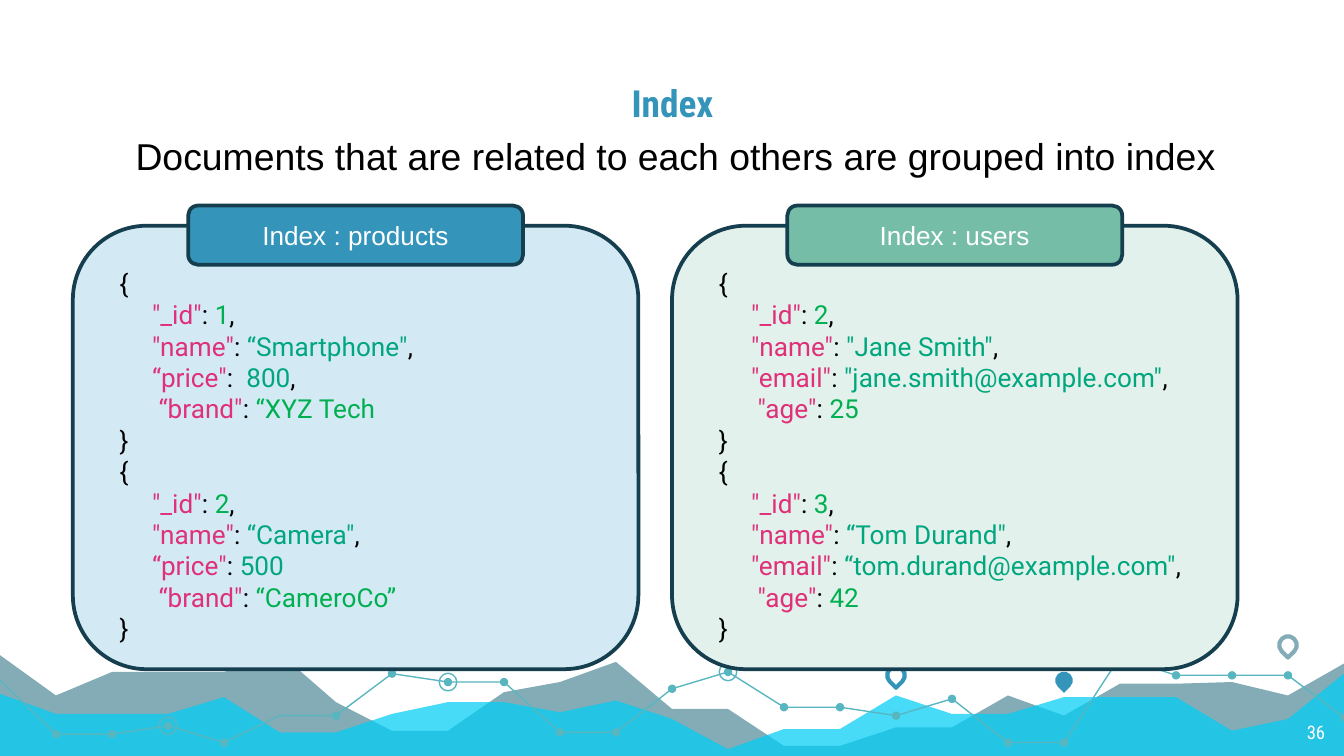
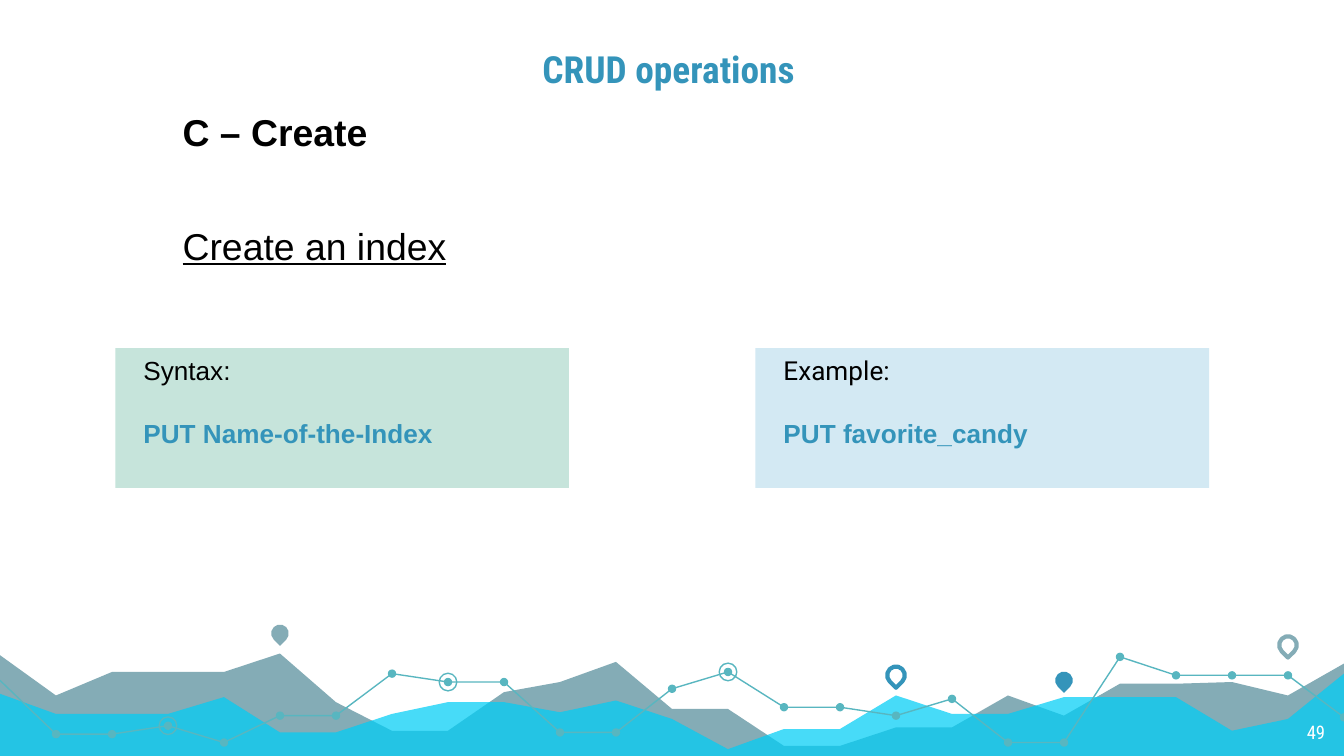
from lxml.etree import SubElement
from pptx import Presentation
from pptx.dml.color import RGBColor
from pptx.enum.shapes import MSO_SHAPE
from pptx.enum.text import MSO_ANCHOR, PP_ALIGN
from pptx.oxml.ns import qn
from pptx.util import Emu, Inches, Pt

COLUMNS, ROWS = 24, 45
BLANK_LAYOUT = 6

BLUE, PALE_BLUE = "3494BA", "D3E9F3"
GREEN, PALE_GREEN, MINT = "75BDA7", "E2F1EC", "C6E4DB"
GREY, CYAN, TEAL, NAVY = "84ACB6", "00CEF6", "58B6C0", "153E4E"
BLACK, WHITE = "000000", "FFFFFF"
KEY_PINK, VALUE_GREEN, VALUE_TEAL = "DF3079", "00B050", "00A67D"
GREEN_VALUED_KEYS = ("_id", "age", "brand")

# Height in rows at each of the column lines 0 to 24
GREY_RIDGE = [39, 41.4, 40, 40, 40, 38.9, 41.8, 43.5, 43.5, 41.2, 40.6, 39.4, 42.2,
              42.2, 44.4, 44.4, 43.3, 43.3, 41.4, 42.6, 40.7, 40.7, 40.6, 41.4, 39.5]
CYAN_RIDGE = [41.3, 42.5, 42.5, 42.5, 41.5, 43.6, 43.6, 42.5, 41.8, 41.8, 42.4, 41.7, 42.8,
              44.6, 43.4, 43.4, 41.4, 42.5, 42.5, 41.5, 41.5, 41.5, 43.5, 42.8, 40.1]
TREND = [40.5, 43.7, 43.7, 43.2, 44.2, 42.6, 42.6, 40.1, 40.6, 40.6, 43.6, 43.6, 41,
         40, 42.1, 42.1, 42.6, 41.6, 44.2, 44.2, 39.1, 40.2, 40.2, 40.2, 42.7]
TREND_BREAKS = [0, 11, 20, 24]
RINGED_COLUMNS = [3, 8, 13]

PRODUCTS = '''{
     "_id": 1,
     "name": “Smartphone",
     “price":  800,
      “brand": “XYZ Tech
}
{
     "_id": 2,
     "name": “Camera",
     “price": 500
      “brand": “CameroCo”
}'''
USERS = '''{
     "_id": 2,
     "name": "Jane Smith",
     "email": "jane.smith@example.com",
      "age": 25
}
{
     "_id": 3,
     "name": “Tom Durand",
     "email": “tom.durand@example.com",
      "age": 42
}'''


def colour(hex_code):
    return RGBColor.from_string(hex_code)


class Deck:
    """Places styled elements on the current slide; lengths are grid columns and rows."""

    def __init__(self):
        self.presentation = Presentation()
        self.presentation.slide_width = Inches(10)
        self.presentation.slide_height = Inches(5.625)
        self.column = self.presentation.slide_width / COLUMNS
        self.row = self.presentation.slide_height / ROWS
        self.slide = None

    def add_slide(self, title, title_column, title_row, number, covered_columns=()):
        layout = self.presentation.slide_layouts[BLANK_LAYOUT]
        self.slide = self.presentation.slides.add_slide(layout)
        self.landscape(covered_columns)
        heading = self.text_box(title_column, title_row, 18.36, 6.24, MSO_ANCHOR.BOTTOM)
        self.set_lines(heading, [title], 20, "Roboto Condensed", BLUE, PP_ALIGN.CENTER)
        heading.paragraphs[0].runs[0].font.bold = True
        page = self.text_box(22.46, 42.24, 1.44, 2.8)
        self.set_lines(page, [str(number)], 10, "Roboto Condensed", WHITE, PP_ALIGN.RIGHT)

    def box(self, column, row, width, height):
        return (Emu(round(column * self.column)), Emu(round(row * self.row)),
                Emu(round(width * self.column)), Emu(round(height * self.row)))

    def paint(self, shape, fill=None, line=None, weight=0.75):
        shape.shadow.inherit = False
        if fill:
            shape.fill.solid()
            shape.fill.fore_color.rgb = colour(fill)
        else:
            shape.fill.background()
        if line:
            shape.line.color.rgb = colour(line)
            shape.line.width = Pt(weight)
        else:
            shape.line.fill.background()
        return shape

    def panel(self, preset, column, row, width, height, fill, line=None):
        shape = self.slide.shapes.add_shape(preset, *self.box(column, row, width, height))
        shape.text_frame.word_wrap = True
        return self.paint(shape, fill, line, 2)

    def mark(self, preset, column, row, diameter, **paint):
        """Centre a small round shape on a grid point; the diameter is in rows."""
        size = round(diameter * self.row)
        left = round(column * self.column - size / 2)
        top = round(row * self.row - size / 2)
        shape = self.slide.shapes.add_shape(preset, left, top, size, size)
        return self.paint(shape, **paint)

    def pin(self, column, row, **paint):
        self.mark(MSO_SHAPE.TEAR, column, row, 1.05, **paint).rotation = 135

    def outline(self, points, closed, **paint):
        spots = [(round(x * self.column), round(y * self.row)) for x, y in points]
        builder = self.slide.shapes.build_freeform(*spots[0], scale=1.0)
        builder.add_line_segments(spots[1:], close=closed)
        return self.paint(builder.convert_to_shape(), **paint)

    def ridge(self, heights, fill):
        corners = [(COLUMNS, ROWS), (0, ROWS)]
        return self.outline(list(enumerate(heights)) + corners, True, fill=fill)

    def landscape(self, covered_columns):
        """Draw the footer; dots and pins in covered columns are left out."""
        self.ridge(GREY_RIDGE, GREY)
        water = self.ridge(CYAN_RIDGE, CYAN)
        tint = water._element.spPr.find(qn("a:solidFill"))[0]
        SubElement(tint, qn("a:alpha")).set("val", "72000")
        if 5 not in covered_columns:
            self.pin(5, 37.7, fill=GREY)
        self.pin(16, 40.2, line=BLUE, weight=2.25)
        self.pin(19, 40.5, fill=BLUE)
        trend = list(enumerate(TREND))
        for start, end in zip(TREND_BREAKS, TREND_BREAKS[1:]):
            self.outline(trend[start:end + 1], False, line=TEAL)
        for column, row in trend[1:]:
            if column not in covered_columns:
                self.mark(MSO_SHAPE.OVAL, column, row, 0.5, fill=TEAL)
        for column in RINGED_COLUMNS:
            self.mark(MSO_SHAPE.OVAL, column, TREND[column], 1.05, line=TEAL)
        self.pin(23, 38.4, line=GREY, weight=2.25)

    def text_box(self, column, row, width, height, anchor=MSO_ANCHOR.TOP, inset=0.1):
        shape = self.slide.shapes.add_textbox(*self.box(column, row, width, height))
        frame = shape.text_frame
        frame.word_wrap = True
        frame.vertical_anchor = anchor
        frame.margin_top = frame.margin_bottom = Inches(inset)
        return frame

    def set_lines(self, frame, lines, size, font, ink, align=PP_ALIGN.LEFT, gap=0, indent=0):
        frame.text = "\n".join(lines)
        for index, paragraph in enumerate(frame.paragraphs):
            paragraph.alignment = align
            if index:
                paragraph.space_before = Pt(gap)
            if indent:
                properties = paragraph._p.get_or_add_pPr()
                properties.set("marL", str(Inches(indent)))
                properties.set("indent", "0")
            for run in paragraph.runs:
                self.style_run(run, size, font, ink)

    def style_run(self, run, size, font, ink):
        run.font.size = Pt(size)
        run.font.name = font
        run.font.color.rgb = colour(ink)

    def body(self, column, row, width, height, lines):
        frame = self.text_box(column, row, width, height)
        self.set_lines(frame, lines, 20, "Arial", BLACK, gap=37, indent=0.11)
        return frame

    def code(self, frame, source):
        """Fill the frame with JSON lines whose keys and values are coloured."""
        for index, line in enumerate(source.split("\n")):
            paragraph = frame.add_paragraph() if index else frame.paragraphs[0]
            key, colon, value = line.partition(": ")
            if colon:
                green = key.strip(' "“') in GREEN_VALUED_KEYS
                comma = "," if value.endswith(",") else ""
                parts = [(key, KEY_PINK), (colon, BLACK),
                         (value.removesuffix(","), VALUE_GREEN if green else VALUE_TEAL),
                         (comma, BLACK)]
            else:
                parts = [(line, BLACK)]
            for text, ink in parts:
                if text:
                    run = paragraph.add_run()
                    run.text = text
                    self.style_run(run, 14, "Roboto", ink)

    def index_card(self, column, name, source, fill, label_fill):
        width, label_width, code_width = 10.1, 5.98, 8.9
        self.panel(MSO_SHAPE.ROUNDED_RECTANGLE, column, 13.44, width, 26.4, fill, NAVY)
        code_column = column + (width - code_width) / 2
        self.code(self.text_box(code_column, 15.52, code_width, 25.28, inset=0.05), source)
        label_column = column + (width - label_width) / 2
        label = self.panel(MSO_SHAPE.ROUNDED_RECTANGLE, label_column, 12.24,
                           label_width, 3.52, label_fill, NAVY)
        label.text_frame.vertical_anchor = MSO_ANCHOR.MIDDLE
        self.set_lines(label.text_frame, [f"Index : {name}"], 14, "Arial", WHITE,
                       PP_ALIGN.CENTER)

    def command_box(self, column, heading, command, heading_font, fill):
        shape = self.panel(MSO_SHAPE.RECTANGLE, column, 20.72, 8.1, 8.32, fill)
        frame = shape.text_frame
        frame.vertical_anchor = MSO_ANCHOR.TOP
        self.set_lines(frame, [heading, command], 14, "Arial", BLACK, gap=17, indent=0.11)
        heading_run, command_run = (paragraph.runs[0] for paragraph in frame.paragraphs)
        heading_run.font.name = heading_font
        command_run.font.bold = True
        command_run.font.color.rgb = colour(BLUE)


def main():
    deck = Deck()

    deck.add_slide("Index", 2.83, 2, 36, covered_columns=(5, 20))
    deck.body(1.92, 7.12, 20.18, 16.8,
              ["Documents that are related to each others are grouped into index"])
    deck.index_card(1.3, "products", PRODUCTS, PALE_BLUE, BLUE)
    deck.index_card(12, "users", USERS, PALE_GREEN, GREEN)

    deck.add_slide("CRUD operations", 2.76, 0, 49)
    steps = deck.body(2.76, 5.68, 18.36, 30.08, ["C – Create", "Create an index"])
    steps.paragraphs[0].runs[0].font.bold = True
    steps.paragraphs[1].runs[0].font.underline = True
    deck.command_box(2.06, "Syntax:", "PUT Name-of-the-Index", "Arial", MINT)
    deck.command_box(13.49, "Example:", "PUT favorite_candy", "Roboto", PALE_BLUE)

    deck.presentation.save("out.pptx")


if __name__ == "__main__":
    main()
